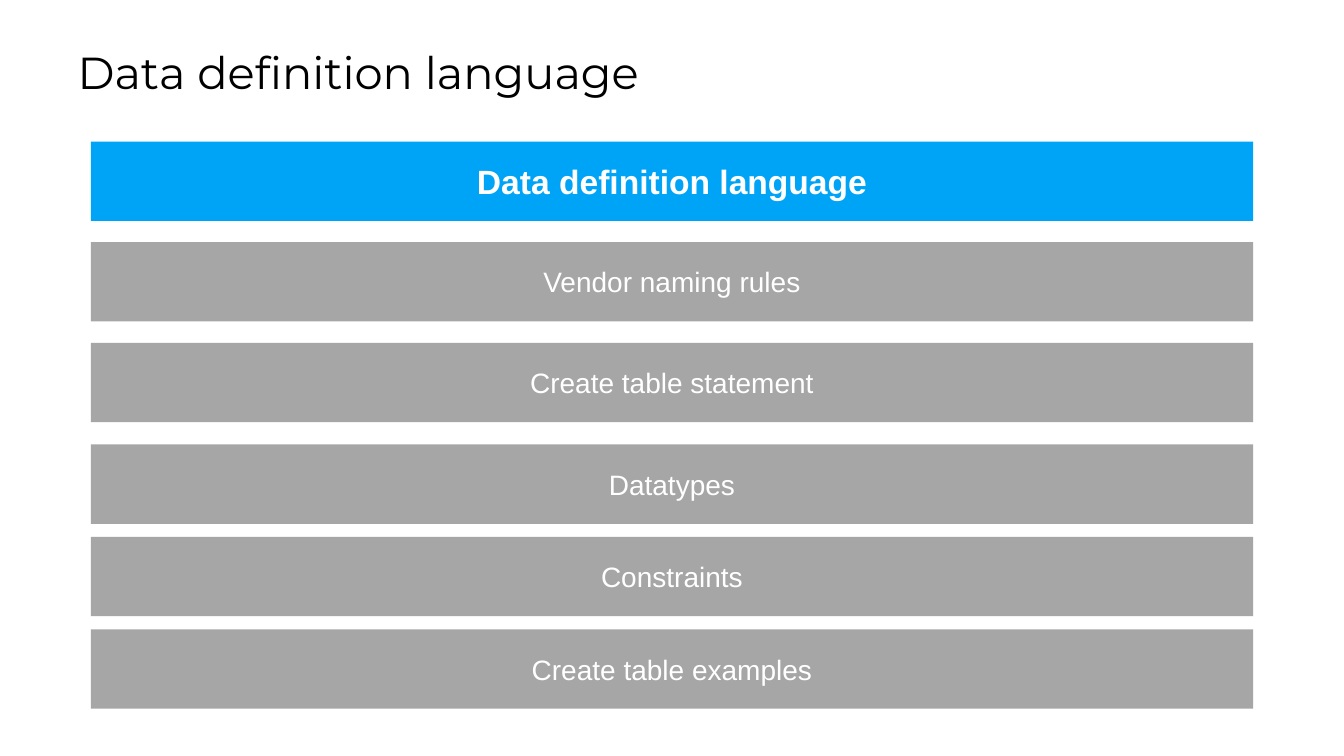
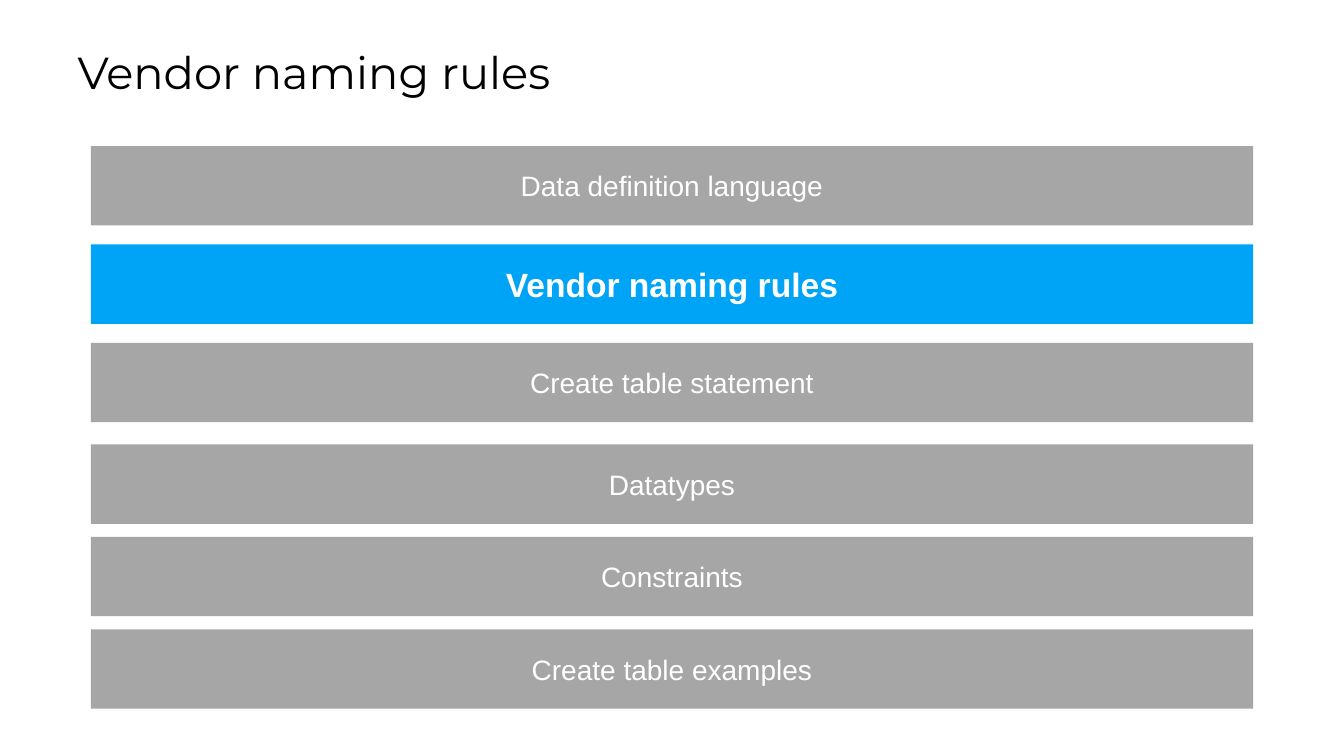
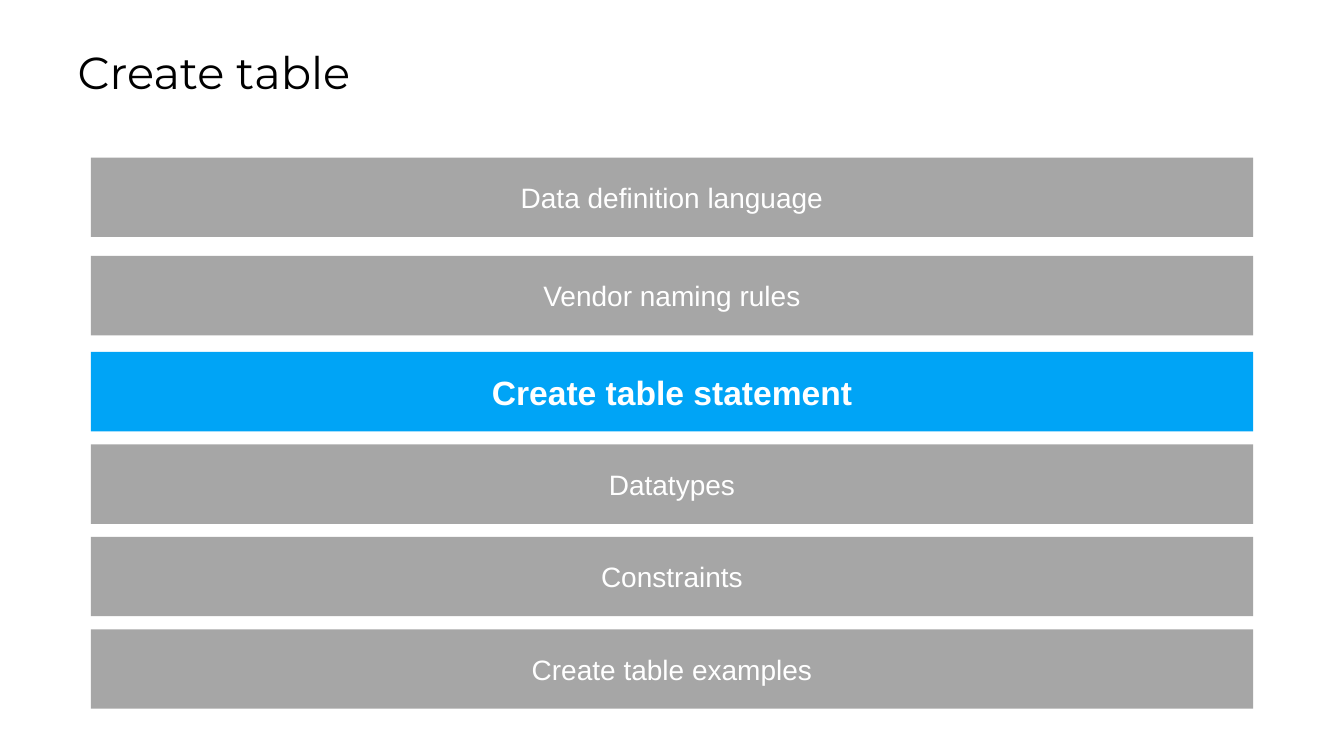
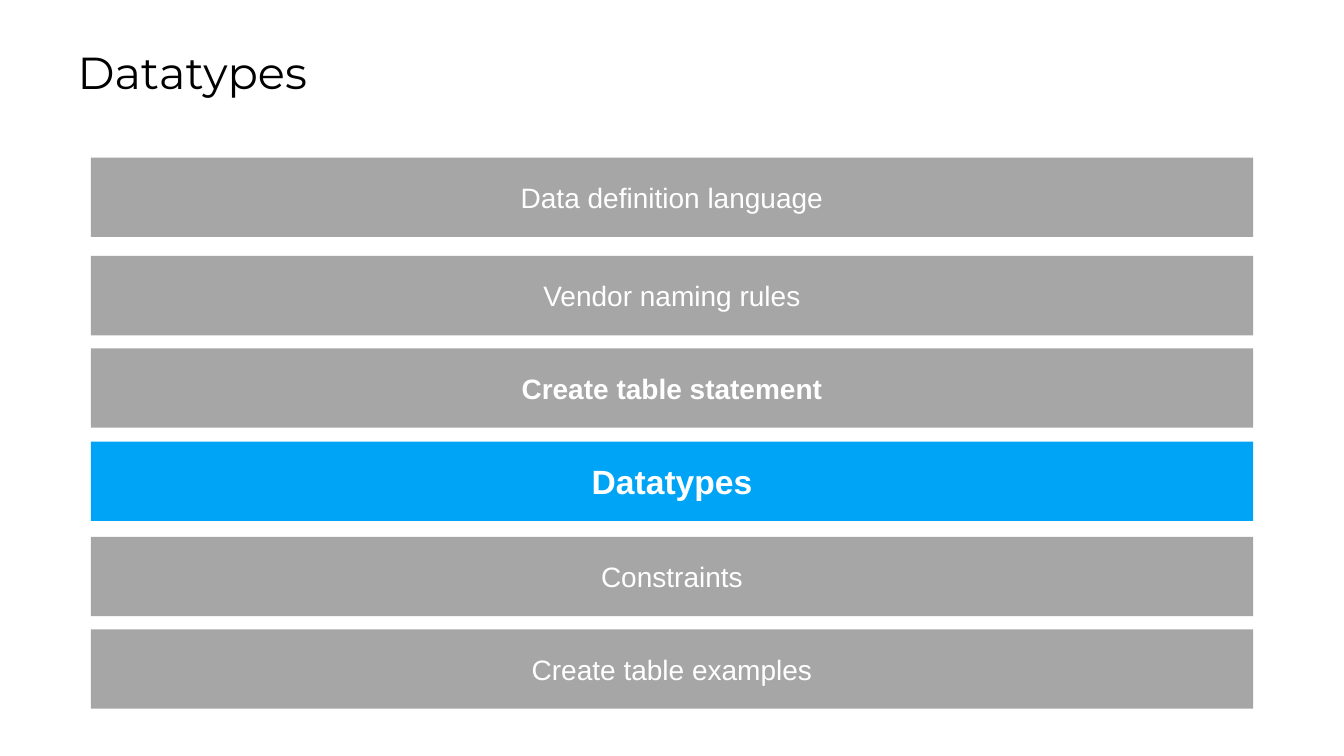
from pptx import Presentation
from pptx.dml.color import RGBColor
from pptx.enum.shapes import MSO_SHAPE
from pptx.enum.text import MSO_ANCHOR, MSO_AUTO_SIZE, PP_ALIGN
from pptx.util import Cm, Pt

RECTANGLE = MSO_SHAPE.RECTANGLE
MIDDLE = MSO_ANCHOR.MIDDLE
GROW = MSO_AUTO_SIZE.SHAPE_TO_FIT_TEXT
LEFT, CENTER = PP_ALIGN.LEFT, PP_ALIGN.CENTER

BLACK = RGBColor(0x00, 0x00, 0x00)
WHITE = RGBColor(0xFF, 0xFF, 0xFF)
GRAY = RGBColor(0xA6, 0xA6, 0xA6)
BLUE = RGBColor(0x00, 0xA4, 0xF6)

TITLE_FORMAT = {"name": "Montserrat", "size": Pt(32), "bold": False}
TOPIC_FORMAT = {"name": "Arial", "size": Pt(20), "bold": False}
VISITED_FORMAT = {**TOPIC_FORMAT, "bold": True}
CURRENT_FORMAT = {**VISITED_FORMAT, "size": Pt(24)}

TITLE_BOX = {"left": Cm(1.7), "top": Cm(0.99), "width": Cm(30.63), "height": Cm(1.63)}
AGENDA_BOX = (2.29, 3.57, 29.29)
BAR_HEIGHT = 2.0
TITLE_ONLY = 5

TOPICS = [
    "Data definition language",
    "Vendor naming rules",
    "Create table statement",
    "Datatypes",
    "Constraints",
    "Create table examples",
]

# Title, current topic, bold visited topics, bar offsets from the agenda top in cm
LAST_OFFSETS = [9.96, 12.29]
AGENDAS = [
    ("Data definition language", 0, (), [0, 2.53, 5.07, 7.63]),
    ("Vendor naming rules", 1, (), [0.11, 2.59, 5.07, 7.63]),
    ("Create table", 2, (), [0.4, 2.88, 5.3, 7.63]),
    ("Datatypes", 3, (2,), [0.4, 2.88, 5.21, 7.56]),
]


def apply_format(target, values):
    for name, value in values.items():
        setattr(target, name, value)


def write_line(shape, text, font_format, color, align):
    frame = shape.text_frame
    frame.word_wrap = True
    frame.vertical_anchor = MIDDLE
    para = frame.paragraphs[0]
    para.alignment = align
    span = para.add_run()
    span.text = text
    apply_format(span.font, font_format)
    span.font.color.rgb = color


def add_title(page, text):
    title = page.shapes.title
    apply_format(title, TITLE_BOX)
    write_line(title, text, TITLE_FORMAT, BLACK, LEFT)
    title.text_frame.auto_size = GROW


def add_bar(page, box, text, fill, font_format):
    bar = page.shapes.add_shape(RECTANGLE, *(Cm(length) for length in box))
    bar.shadow.inherit = False
    bar.fill.solid()
    bar.fill.fore_color.rgb = fill
    bar.line.fill.background()
    write_line(bar, text, font_format, WHITE, CENTER)


def add_agenda(page, box, current, visited, offsets):
    left, top, width = box
    for index, (topic, offset) in enumerate(zip(TOPICS, offsets)):
        if index == current:
            fill, font_format = BLUE, CURRENT_FORMAT
        else:
            fill = GRAY
            font_format = VISITED_FORMAT if index in visited else TOPIC_FORMAT
        add_bar(page, (left, top + offset, width, BAR_HEIGHT), topic, fill, font_format)


def main():
    deck = Presentation()
    deck.slide_width, deck.slide_height = Cm(33.87), Cm(19.05)
    for title, current, visited, offsets in AGENDAS:
        page = deck.slides.add_slide(deck.slide_layouts[TITLE_ONLY])
        add_title(page, title)
        add_agenda(page, AGENDA_BOX, current, visited, offsets + LAST_OFFSETS)
    deck.save("out.pptx")


if __name__ == "__main__":
    main()
